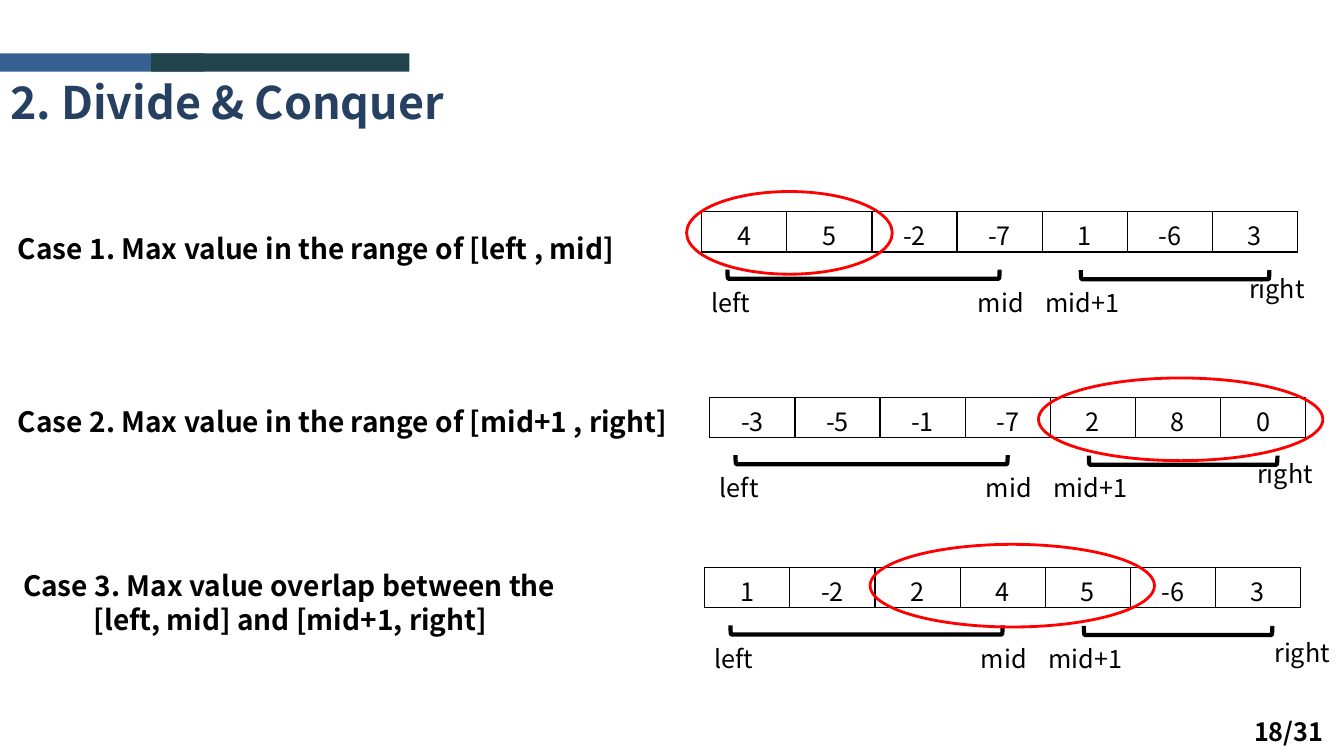
from dataclasses import dataclass

from lxml import etree
from pptx import Presentation
from pptx.dml.color import RGBColor
from pptx.enum import shapes, text
from pptx.oxml import ns
from pptx.util import Inches, Pt


@dataclass(frozen=True)
class Theme:
    font: str = "Noto Sans CJK KR"
    title: str = "254061"
    blue: str = "376092"
    teal: str = "21434B"
    ink: str = "000000"
    mark: str = "FF0000"
    title_size: int = 32
    case_size: int = 20
    label_size: int = 18


THEME = Theme()
ARRAY_WIDTH = 5.91
ROW_HEIGHT = 0.4
BRACKETS = [(1.56, -0.73, 2.7), (4.65, -0.31, 1.87)]
LABELS = [("left", 0, 0.75), ("mid", 2.64, 0.75), ("mid+1", 3.31, 0.98)]

CASES = [
    dict(lines=["Case 1. Max value in the range of [left , mid]"],
         caption=(0.08, 2.25), origin=(6.96, 2.1), values=[4, 5, -2, -7, 1, -6, 3],
         ring=(-0.15, -0.2, 2.04), right=(5.33, 0.56)),
    dict(lines=["Case 2. Max value in the range of [mid+1 , right]"],
         caption=(0.08, 3.96), origin=(7.04, 3.94), values=[-3, -5, -1, -7, 2, 8, 0],
         ring=(3.26, -0.19, 2.82), right=(5.33, 0.56)),
    dict(lines=["Case 3. Max value overlap between the",
                "[left, mid] and [mid+1, right]"],
         caption=(0.13, 5.59), origin=(6.99, 5.63), values=[1, -2, 2, 4, 5, -6, 3],
         ring=(1.64, -0.23, 2.82), right=(5.55, 0.64)),
]


def style_text(frame, size, color=THEME.ink, bold=False):
    for para in frame.paragraphs:
        for span in para.runs:
            span.font.name = THEME.font
            span.font.size = Pt(size)
            span.font.bold = bold
            span.font.color.rgb = RGBColor.from_string(color)


def add_title(page, wording):
    title = page.shapes.title
    title.left, title.top = Inches(0), Inches(0.69)
    title.width, title.height = Inches(5.27), Inches(0.64)
    frame = title.text_frame
    frame.text = wording
    frame.auto_size = text.MSO_AUTO_SIZE.NONE
    frame.vertical_anchor = text.MSO_ANCHOR.MIDDLE
    frame.paragraphs[0].alignment = text.PP_ALIGN.LEFT
    style_text(frame, THEME.title_size, THEME.title, bold=True)


def add_text(page, lines, left, top, width, height, size, bold=False):
    box = page.shapes.add_textbox(Inches(left), Inches(top), Inches(width), Inches(height))
    frame = box.text_frame
    frame.word_wrap = True
    frame.margin_right = 0
    frame.text = "\n".join(lines)
    for para in frame.paragraphs[1:]:
        para._p.get_or_add_pPr().set("marL", str(Inches(0.7)))
    style_text(frame, size, bold=bold)


def add_label(page, wording, left, top, width, bold=False):
    add_text(page, [wording], left, top, width, 0.4, THEME.label_size, bold)


def add_bar(page, left, width, color):
    bar = page.shapes.add_shape(shapes.MSO_SHAPE.RECTANGLE, Inches(left), Inches(0.53),
                                Inches(width), Inches(0.18))
    bar.shadow.inherit = False
    bar.fill.solid()
    bar.fill.fore_color.rgb = RGBColor.from_string(color)
    bar.line.fill.background()


def add_outline(page, kind, left, top, width, height, color, weight):
    outline = page.shapes.add_shape(kind, Inches(left), Inches(top),
                                    Inches(width), Inches(height))
    outline.shadow.inherit = False
    outline.fill.background()
    outline.line.color.rgb = RGBColor.from_string(color)
    outline.line.width = Pt(weight)
    return outline


def add_borders(cell):
    properties = cell._tc.get_or_add_tcPr()
    for position, side in enumerate(("lnL", "lnR", "lnT", "lnB")):
        border = etree.Element(ns.qn(f"a:{side}"), w=str(Pt(1)))
        fill = etree.SubElement(border, ns.qn("a:solidFill"))
        etree.SubElement(fill, ns.qn("a:srgbClr"), val=THEME.ink)
        properties.insert(position, border)


def add_array(page, values, left, top):
    table = page.shapes.add_table(1, len(values), Inches(left), Inches(top),
                                  Inches(ARRAY_WIDTH), Inches(ROW_HEIGHT)).table
    table.first_row = False
    table.horz_banding = False
    for column, cell, value in zip(table.columns, table.rows[0].cells, values):
        column.width = Inches(ARRAY_WIDTH / len(values))
        cell.fill.background()
        cell.vertical_anchor = text.MSO_ANCHOR.MIDDLE
        cell.text_frame.text = str(value)
        cell.text_frame.paragraphs[0].alignment = text.PP_ALIGN.CENTER
        style_text(cell.text_frame, THEME.label_size)
        add_borders(cell)


def add_case(page, lines, caption, origin, values, ring, right):
    left, top = origin
    add_text(page, lines, *caption, 6.85, 0.44 if len(lines) == 1 else 0.77,
             THEME.case_size, bold=True)
    add_array(page, values, left, top)
    for across, down, length in BRACKETS:
        bracket = add_outline(page, shapes.MSO_SHAPE.LEFT_BRACKET, left + across, top + down,
                              0.09, length, THEME.ink, 3)
        bracket.rotation = 270
    for wording, across, width in LABELS:
        add_label(page, wording, left + across, top + 0.7, width)
    add_label(page, "right", left + right[0], top + right[1], 0.75)
    across, down, width = ring
    add_outline(page, shapes.MSO_SHAPE.OVAL, left + across, top + down, width, 0.82,
                THEME.mark, 2)


def main():
    deck = Presentation()
    deck.slide_width, deck.slide_height = Inches(13.33), Inches(7.5)
    page = deck.slides.add_slide(deck.slide_layouts[5])
    add_title(page, "2. Divide & Conquer")
    add_bar(page, 0, 2.03, THEME.blue)
    add_bar(page, 1.5, 2.56, THEME.teal)
    for case in CASES:
        add_case(page, **case)
    add_label(page, "18/31", 12.34, 7.06, 0.94, bold=True)
    deck.save("out.pptx")


if __name__ == "__main__":
    main()
